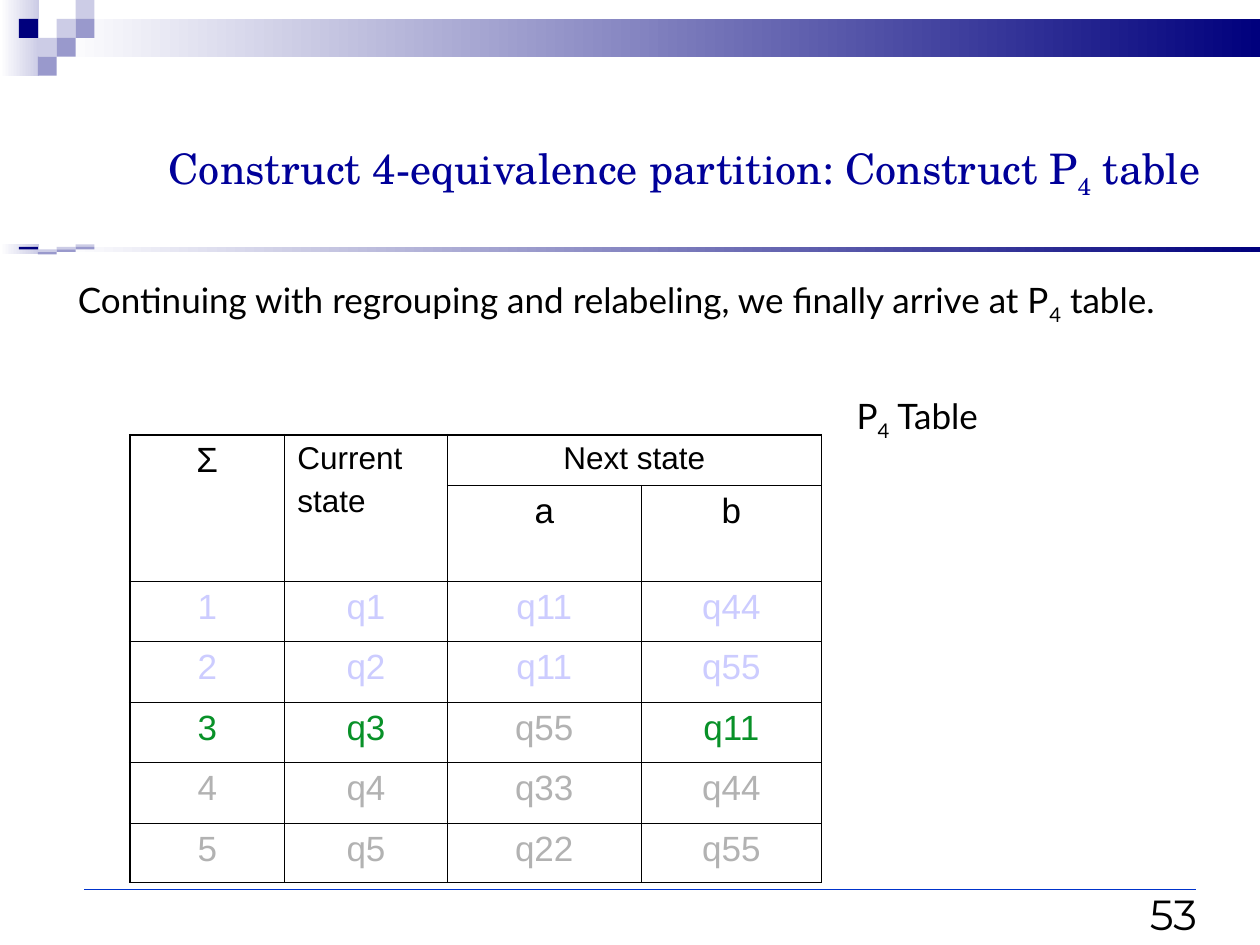
from dataclasses import dataclass

from lxml import etree
from pptx import Presentation
from pptx import util as u
from pptx.dml.color import RGBColor
from pptx.enum import shapes, text
from pptx.oxml import ns

In, Pt = u.Inches, u.Pt
MID = text.PP_ALIGN.CENTER
LEFT = text.PP_ALIGN.LEFT


@dataclass(frozen=True)
class Theme:
    white: str = "FFFFFF"
    black: str = "000000"
    navy: str = "00007D"
    mid: str = "9999CC"
    pale: str = "CCCCE6"
    title: str = "000099"
    rule: str = "0033CC"
    lilac: str = "CCCCFF"
    green: str = "089128"
    grey: str = "B2B2B2"
    serif: str = "TeX Gyre Schola"
    sans: str = "Lato"
    grid: str = "Arial"
    digit: str = "Montserrat"
    large: int = 24
    body: int = 20
    small: int = 18
    thin: float = 0.45
    thick: float = 1.08


T = Theme()
TILES = [(3, 1, T.pale), (4, 0, T.pale), (4, 1, T.mid), (2, 2, T.pale),
         (1, 1, T.navy), (3, 2, T.mid), (2, 3, T.mid)]
COLS = [1.23, 1.29, 1.54, 1.43]
ROWS = [0.4, 0.76] + [0.48] * 4 + [0.47]
STATES = [
    ("1 q1 q11 q44", [T.lilac] * 4),
    ("2 q2 q11 q55", [T.lilac] * 4),
    ("3 q3 q55 q11", [T.green, T.green, T.grey, T.green]),
    ("4 q4 q33 q44", [T.grey] * 4),
    ("5 q5 q22 q55", [T.grey] * 4),
]


def add_block(slide, left, top, width, height, color, fade=False):
    """Draw a plain rectangle, or one fading from white to its colour."""
    box = slide.shapes.add_shape(shapes.MSO_SHAPE.RECTANGLE, In(left), In(top),
                                 In(width), In(height))
    box.shadow.inherit = False
    box.line.fill.background()
    if fade:
        box.fill.gradient()
        box.fill.gradient_angle = 0
        for stop, tone in zip(box.fill.gradient_stops, (T.white, color)):
            stop.color.rgb = RGBColor.from_string(tone)
    else:
        box.fill.solid()
        box.fill.fore_color.rgb = RGBColor.from_string(color)


def add_band(slide, top, step):
    """Draw a fading bar with its mosaic, in rows one step high."""
    side = 0.15
    add_block(slide, 0, top, 0.31, 4 * step, T.pale, fade=True)
    add_block(slide, 3 * side, top + step, 10 - 3 * side, 2 * step, T.navy, fade=True)
    for col, row, color in TILES:
        add_block(slide, col * side, top + row * step, side, step, color)


def add_rule(slide, left, right, top):
    line = slide.shapes.add_connector(shapes.MSO_CONNECTOR.STRAIGHT, In(left),
                                      In(top), In(right), In(top))
    line.line.color.rgb = RGBColor.from_string(T.rule)
    line.line.width = Pt(0.75)
    etree.SubElement(line._element.spPr, ns.qn("a:effectLst"))


def style(run, face, size, color):
    run.font.name = face
    run.font.size = Pt(size)
    run.font.color.rgb = RGBColor.from_string(color)


def add_text(slide, place, parts, face, size, color=T.black, align=LEFT,
             anchor=text.MSO_ANCHOR.TOP):
    """Add one line of text; every second part is a subscript."""
    frame = slide.shapes.add_textbox(*map(In, place)).text_frame
    frame.word_wrap = True
    frame.vertical_anchor = anchor
    para = frame.paragraphs[0]
    para.alignment = align
    for i, part in enumerate(parts):
        run = para.add_run()
        run.text = part
        style(run, face, size, color)
        if i % 2:
            run._r.get_or_add_rPr().set("baseline", "-25000")


def set_edges(cell, row, col):
    """Draw thin lines inside the table and thick ones round it."""
    outer = {"L": col == 0, "R": col == len(COLS) - 1,
             "T": row == 0, "B": row == len(ROWS) - 1}
    props = cell._tc.get_or_add_tcPr()
    for side, edge in outer.items():
        width = Pt(T.thick if edge else T.thin)
        line = etree.SubElement(props, ns.qn("a:ln" + side), w=str(int(width)))
        fill = etree.SubElement(line, ns.qn("a:solidFill"))
        etree.SubElement(fill, ns.qn("a:srgbClr"), val=T.black)


def fill_cell(cell, words, size=T.body, color=T.black, align=MID):
    cell.text_frame.text = words
    for i, para in enumerate(cell.text_frame.paragraphs):
        para.alignment = align
        if i:
            para.space_before = Pt(4.5)
        for run in para.runs:
            style(run, T.grid, size, color)


def add_states(slide):
    grid = slide.shapes.add_table(len(ROWS), len(COLS), In(1.03), In(3.45),
                                  In(sum(COLS)), In(sum(ROWS))).table
    grid.first_row = grid.horz_banding = False
    for col, width in zip(grid.columns, COLS):
        col.width = In(width)
    for row, height in zip(grid.rows, ROWS):
        row.height = In(height)
    for r in range(len(ROWS)):
        for c in range(len(COLS)):
            set_edges(grid.cell(r, c), r, c)
            grid.cell(r, c).fill.background()
    for first, last in (((0, 0), (1, 0)), ((0, 1), (1, 1)), ((0, 2), (0, 3))):
        grid.cell(*first).merge(grid.cell(*last))
    fill_cell(grid.cell(0, 0), "Σ")
    fill_cell(grid.cell(0, 1), "Current\nstate", T.small, align=LEFT)
    fill_cell(grid.cell(0, 2), "Next state", T.small)
    fill_cell(grid.cell(1, 2), "a")
    fill_cell(grid.cell(1, 3), "b")
    for r, (words, colors) in enumerate(STATES, 2):
        for c, (word, color) in enumerate(zip(words.split(), colors)):
            fill_cell(grid.cell(r, c), word, color=color)


def main():
    deck = Presentation()
    deck.slide_width, deck.slide_height = In(10), In(7.5)
    slide = deck.slides.add_slide(deck.slide_layouts[6])
    add_band(slide, 0, 0.15)
    add_band(slide, 1.94, 0.02)
    add_rule(slide, 0.67, 9.49, 7.06)
    add_text(slide, (8.86, 6.93, 0.74, 0.57), ["53"], T.digit, T.large,
             align=text.PP_ALIGN.RIGHT, anchor=text.MSO_ANCHOR.BOTTOM)
    add_text(slide, (1.24, 0.92, 8.52, 0.88),
             ["Construct 4-equivalence partition: Construct P", "4", " table"],
             T.serif, T.large, T.title, anchor=text.MSO_ANCHOR.MIDDLE)
    add_text(slide, (0.52, 2.16, 8.83, 0.82),
             ["Continuing with regrouping and relabeling, we finally arrive at P",
              "4", " table."], T.sans, T.body)
    add_states(slide)
    add_text(slide, (6.7, 3.08, 1.81, 0.48), ["P", "4", " Table"], T.sans, T.body)
    deck.save("out.pptx")


if __name__ == "__main__":
    main()
